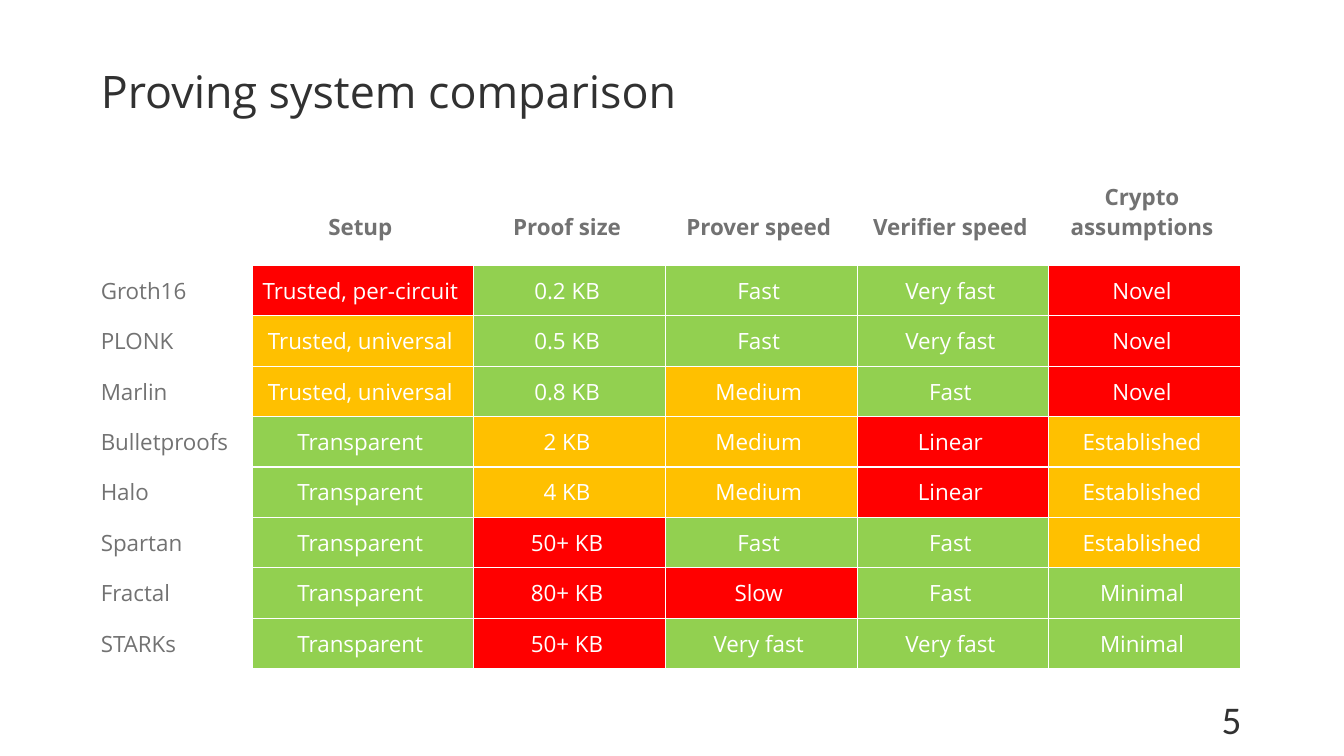
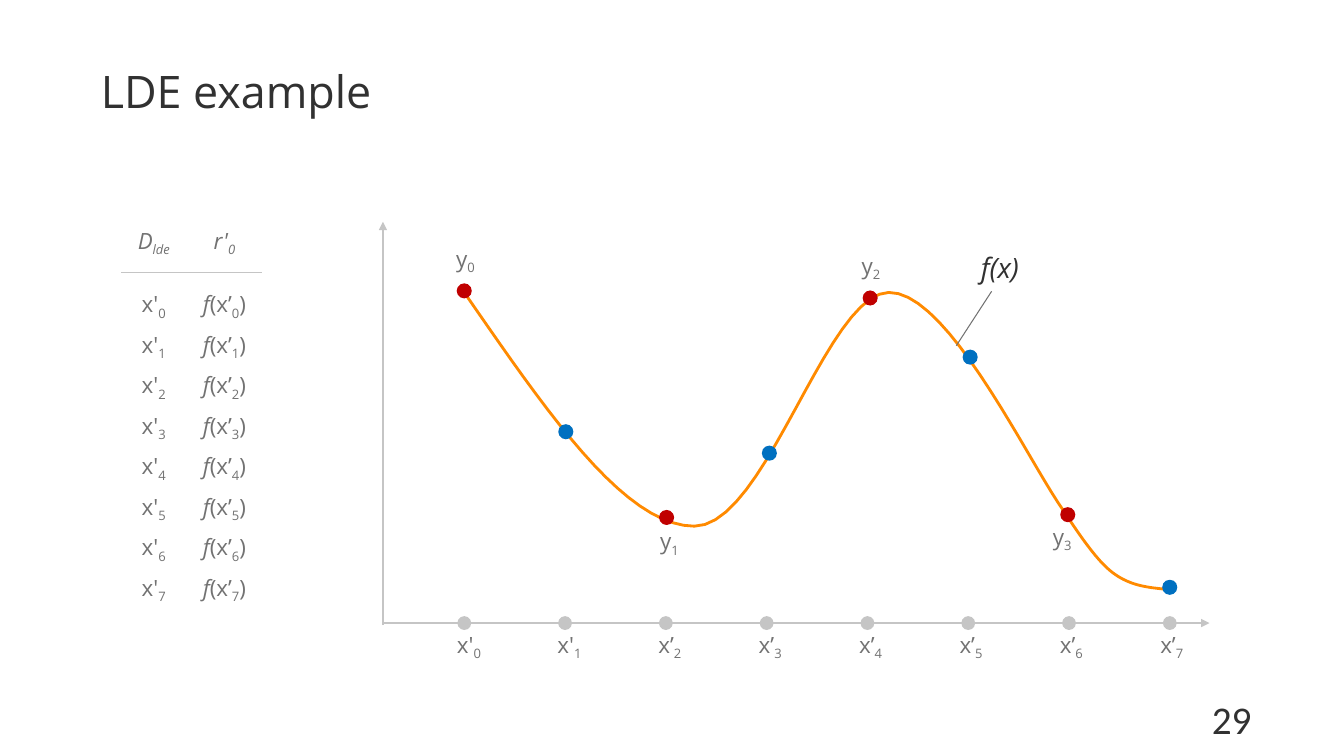
from dataclasses import dataclass

from lxml import etree
from pptx import Presentation
from pptx.dml.color import RGBColor
from pptx.enum.shapes import MSO_CONNECTOR, MSO_SHAPE
from pptx.enum.text import MSO_ANCHOR, MSO_AUTO_SIZE, PP_ALIGN
from pptx.oxml.ns import qn
from pptx.util import Cm, Pt

LEFT, CENTER = PP_ALIGN.LEFT, PP_ALIGN.CENTER
TOP, MIDDLE, BOTTOM = MSO_ANCHOR.TOP, MSO_ANCHOR.MIDDLE, MSO_ANCHOR.BOTTOM
STRAIGHT, OVAL = MSO_CONNECTOR.STRAIGHT, MSO_SHAPE.OVAL
FIXED_SIZE = MSO_AUTO_SIZE.NONE
TITLE_ONLY = 5


@dataclass(frozen=True)
class Theme:
    font: str = "Open Sans"
    number_font: str = "Calibri"
    title_size: int = 32
    number_size: int = 28
    function_size: int = 20
    body_size: int = 16
    spacer_size: int = 8
    dark: str = "313131"
    grey: str = "727272"
    axis: str = "C5C5C5"
    white: str = "FFFFFF"
    curve: str = "FF8A00"
    known_point: str = "C00000"
    extended_point: str = "0070C0"
    good: str = "92D050"
    fair: str = "FFC000"
    poor: str = "FF0000"


THEME = Theme()

RATINGS = {
    THEME.good: ("Transparent", "0.2 KB", "0.5 KB", "0.8 KB", "Fast", "Very fast", "Minimal"),
    THEME.fair: ("Trusted, universal", "2 KB", "4 KB", "Medium", "Established"),
    THEME.poor: ("Trusted, per-circuit", "50+ KB", "80+ KB", "Slow", "Linear", "Novel"),
}
RATING_COLOURS = {text: colour for colour, texts in RATINGS.items() for text in texts}

HEADERS = ("Setup", "Proof size", "Prover speed", "Verifier speed", "Crypto assumptions")
SYSTEMS = (
    ("Groth16", "Trusted, per-circuit", "0.2 KB", "Fast", "Very fast", "Novel"),
    ("PLONK", "Trusted, universal", "0.5 KB", "Fast", "Very fast", "Novel"),
    ("Marlin", "Trusted, universal", "0.8 KB", "Medium", "Fast", "Novel"),
    ("Bulletproofs", "Transparent", "2 KB", "Medium", "Linear", "Established"),
    ("Halo", "Transparent", "4 KB", "Medium", "Linear", "Established"),
    ("Spartan", "Transparent", "50+ KB", "Fast", "Fast", "Established"),
    ("Fractal", "Transparent", "80+ KB", "Slow", "Fast", "Minimal"),
    ("STARKs", "Transparent", "50+ KB", "Very fast", "Very fast", "Minimal"),
)
SPACER_HEIGHT = 0.58

POINTS = (
    (11.7, 7.33), (14.26, 10.88), (16.8, 13.04), (19.39, 11.42),
    (21.93, 7.51), (24.45, 9), (26.91, 12.97), (29.48, 14.8),
)
POINT_SIZE = 0.38
VALUE_LABELS = ((11.73, 6.55), (16.87, 13.67), (21.95, 6.73), (26.77, 13.56))
CURVES = (
    ((11.68, 7.34), (13.72, 10.29), (15.72, 13.26), (17.5, 13.26), (19.3, 13.26),
     (20.83, 7.39), (22.4, 7.37), (23.98, 7.34), (26.14, 12.12), (26.95, 13.06)),
    ((26.77, 12.83), (27.2, 13.46), (27.61, 14.1), (28.04, 14.43), (28.5, 14.78),
     (28.98, 14.81), (29.49, 14.86)),
)
CURVE_STEPS = 20
ORIGIN_X, AXIS_Y = 9.65, 15.7
FIRST_TICK, TICK_GAP = 11.7, 2.54
FIRST_TICK_LABEL, TICK_LABEL_GAP = 11.82, 2.53


def rgb(colour):
    return RGBColor.from_string(colour)


def add_run(paragraph, text, size=THEME.body_size, colour=THEME.grey, font=THEME.font,
            bold=False, italic=False, subscript=False):
    run = paragraph.add_run()
    run.text = text
    run.font.name = font
    run.font.size = Pt(size)
    run.font.color.rgb = rgb(colour)
    run.font.bold = bold
    run.font.italic = italic
    if subscript:
        run._r.get_or_add_rPr().set("baseline", "-25000")


def add_indexed(paragraph, name, index, italic=False):
    add_run(paragraph, name, italic=italic)
    add_run(paragraph, str(index), italic=italic, subscript=True)


def set_frame(frame, anchor, side=0, alignment=CENTER):
    frame.word_wrap = True
    frame.auto_size = FIXED_SIZE
    frame.vertical_anchor = anchor
    frame.margin_left = frame.margin_right = Cm(side)
    frame.margin_top = frame.margin_bottom = Cm(0.13)
    frame.paragraphs[0].alignment = alignment
    return frame.paragraphs[0]


def add_text(slide, left, top, width, height, anchor=MIDDLE, side=0):
    box = slide.shapes.add_textbox(Cm(left), Cm(top), Cm(width), Cm(height))
    return set_frame(box.text_frame, anchor, side)


def add_label(slide, center, width=0.76, height=0.76):
    x, y = center
    return add_text(slide, x - width / 2, y - height / 2, width, height)


def add_line(slide, start, end, colour=THEME.axis, width=1.5, tail=None, tail_size="med"):
    line = slide.shapes.add_connector(STRAIGHT, *(Cm(value) for value in (*start, *end)))
    line.line.color.rgb = rgb(colour)
    line.line.width = Pt(width)
    if tail:
        etree.SubElement(line.line._get_or_add_ln(), qn("a:tailEnd"),
                         type=tail, w=tail_size, len=tail_size)
    etree.SubElement(line._element.spPr, qn("a:effectLst"))


def add_point(slide, center, colour):
    x, y = center
    point = slide.shapes.add_shape(OVAL, Cm(x - POINT_SIZE / 2), Cm(y - POINT_SIZE / 2),
                                   Cm(POINT_SIZE), Cm(POINT_SIZE))
    point.shadow.inherit = False
    point.fill.solid()
    point.fill.fore_color.rgb = rgb(colour)
    point.line.fill.background()


def bezier_point(controls, t):
    weights = ((1 - t) ** 3, 3 * t * (1 - t) ** 2, 3 * t ** 2 * (1 - t), t ** 3)
    return tuple(Cm(sum(weight * control[axis] for weight, control in zip(weights, controls)))
                 for axis in (0, 1))


def add_curve(slide, controls):
    builder = slide.shapes.build_freeform(*(Cm(value) for value in controls[0]))
    vertices = [bezier_point(controls[first:first + 4], step / CURVE_STEPS)
                for first in range(0, len(controls) - 1, 3)
                for step in range(1, CURVE_STEPS + 1)]
    builder.add_line_segments(vertices, close=False)
    curve = builder.convert_to_shape()
    curve.shadow.inherit = False
    curve.fill.background()
    curve.line.color.rgb = rgb(THEME.curve)
    curve.line.width = Pt(2)


def add_table(slide, left, top, widths, heights):
    frame = slide.shapes.add_table(len(heights), len(widths), Cm(left), Cm(top),
                                   Cm(sum(widths)), Cm(sum(heights)))
    table = frame.table
    table.first_row = False
    table.horz_banding = False
    for column, width in zip(table.columns, widths):
        column.width = Cm(width)
    for row, height in zip(table.rows, heights):
        row.height = Cm(height)
    for cell in table.iter_cells():
        cell.margin_left = cell.margin_top = cell.margin_bottom = 0
        cell.margin_right = Cm(0.13)
        cell.vertical_anchor = MIDDLE
        cell.fill.background()
        cell.text_frame.paragraphs[0].alignment = CENTER
    for cell in table.rows[1].cells:
        etree.SubElement(cell.text_frame.paragraphs[0]._p, qn("a:endParaRPr"),
                         sz=str(THEME.spacer_size * 100))
    return table


def cell_paragraph(table, row, column):
    return table.cell(row, column).text_frame.paragraphs[0]


def fill_rating(cell, colour):
    properties = cell._tc.get_or_add_tcPr()
    for index, side in enumerate(("lnL", "lnR", "lnT", "lnB")):
        border = etree.Element(qn(f"a:{side}"), w=str(Pt(1)))
        solid = etree.SubElement(border, qn("a:solidFill"))
        etree.SubElement(solid, qn("a:srgbClr"), val=THEME.white)
        properties.insert(index, border)
    cell.fill.solid()
    cell.fill.fore_color.rgb = rgb(colour)


def add_slide(presentation, title, number):
    slide = presentation.slides.add_slide(presentation.slide_layouts[TITLE_ONLY])
    placeholder = slide.shapes.title
    placeholder.left, placeholder.top = Cm(2.54), Cm(1.27)
    placeholder.width, placeholder.height = Cm(28.78), Cm(2.03)
    paragraph = set_frame(placeholder.text_frame, MIDDLE, alignment=LEFT)
    add_run(paragraph, title, THEME.title_size, THEME.dark)
    paragraph = add_text(slide, 28.22, 17.4, 5.64, 1.02, TOP, 0.25)
    add_run(paragraph, str(number), THEME.number_size, THEME.dark, THEME.number_font)
    return slide


def add_comparison(slide):
    table = add_table(slide, 2.54, 4.57, (3.81, 5.59) + (4.83,) * 4,
                      (1.54, SPACER_HEIGHT) + (1.27,) * len(SYSTEMS))
    for column, header in enumerate(HEADERS, 1):
        table.cell(0, column).vertical_anchor = BOTTOM
        add_run(cell_paragraph(table, 0, column), header, bold=True)
    for row, (system, *ratings) in enumerate(SYSTEMS, 2):
        paragraph = cell_paragraph(table, row, 0)
        paragraph.alignment = LEFT
        add_run(paragraph, system)
        for column, rating in enumerate(ratings, 1):
            add_run(cell_paragraph(table, row, column), rating, colour=THEME.white)
            fill_rating(table.cell(row, column), RATING_COLOURS[rating])


def add_domain_table(slide):
    table = add_table(slide, 3.05, 5.59, (1.78, 1.78),
                      (1.02, SPACER_HEIGHT) + (1.02,) * len(POINTS))
    add_indexed(cell_paragraph(table, 0, 0), "D", "lde", italic=True)
    add_indexed(cell_paragraph(table, 0, 1), "r'", 0, italic=True)
    for index in range(len(POINTS)):
        add_indexed(cell_paragraph(table, index + 2, 0), "x'", index)
        paragraph = cell_paragraph(table, index + 2, 1)
        add_run(paragraph, "f", italic=True)
        add_indexed(paragraph, "(x’", index)
        add_run(paragraph, ")")
    add_line(slide, (3.05, 6.86), (6.6, 6.86), width=1)


def add_axes(slide):
    add_line(slide, (ORIGIN_X, 15.75), (ORIGIN_X, 5.59), tail="triangle")
    add_line(slide, (ORIGIN_X, AXIS_Y), (30.48, AXIS_Y), tail="triangle")
    start = ORIGIN_X
    for index in range(len(POINTS)):
        tick = FIRST_TICK + index * TICK_GAP
        add_line(slide, (start, AXIS_Y), (tick, AXIS_Y), tail="oval", tail_size="lg")
        start = tick
        label = add_label(slide, (FIRST_TICK_LABEL + index * TICK_LABEL_GAP, 16.28))
        add_indexed(label, "x'" if index < 2 else "x’", index)


def add_plot(slide):
    for controls in CURVES:
        add_curve(slide, controls)
    add_line(slide, (24.1, 8.71), (24.99, 7.34), THEME.grey, 0.75)
    add_run(add_label(slide, (25.2, 6.73), 2.54, 1.02), "f(x)",
            THEME.function_size, THEME.dark, italic=True)
    add_axes(slide)
    for index, center in enumerate(POINTS):
        add_point(slide, center, THEME.extended_point if index % 2 else THEME.known_point)
    for index, center in enumerate(VALUE_LABELS):
        add_indexed(add_label(slide, center), "y", index)


def main():
    presentation = Presentation()
    presentation.slide_width, presentation.slide_height = Cm(33.87), Cm(19.05)
    add_comparison(add_slide(presentation, "Proving system comparison", 5))
    example = add_slide(presentation, "LDE example", 29)
    add_domain_table(example)
    add_plot(example)
    presentation.save("out.pptx")


if __name__ == "__main__":
    main()
